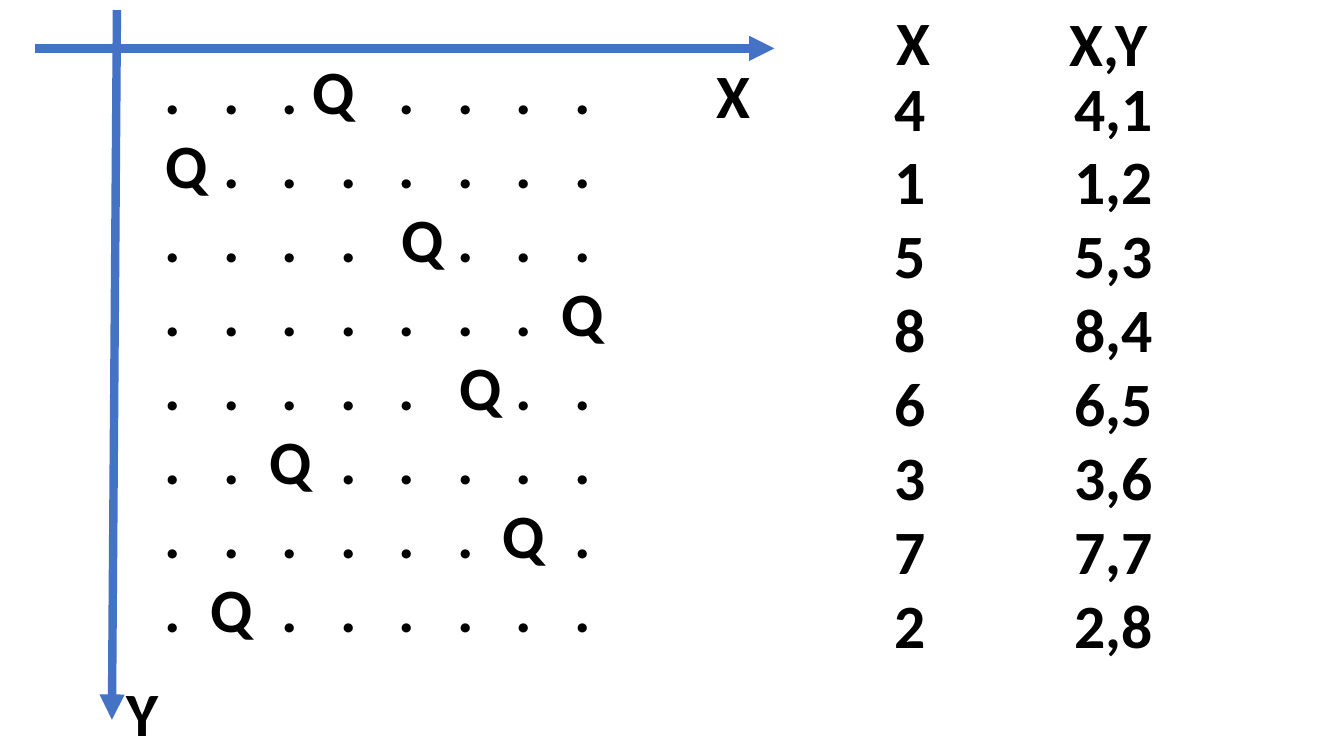
from lxml import etree
from pptx import Presentation
from pptx import util as u
from pptx.dml.color import RGBColor
from pptx.enum import shapes, text
from pptx.oxml.ns import qn

COLORS = {"text": "000000", "axis": "4472C4"}
QUEENS = [4, 1, 5, 8, 6, 3, 7, 2]
QUEEN_SHIFTS = [-0.15, 0.13, 0.15, 0, 0.15, 0, 0, 0]
FIRST_COLUMN, COLUMN_STEP = 0.21, 0.58

presentation = Presentation()
presentation.slide_width = u.Inches(13.33)
presentation.slide_height = u.Inches(7.5)
slide = presentation.slides.add_slide(presentation.slide_layouts[6])


def add_text(lines, left, top, width, height=0.84, wrap=False, size=44, bold=True):
    box = slide.shapes.add_textbox(*map(u.Inches, (left, top, width, height)))
    frame = box.text_frame
    frame.word_wrap = wrap
    frame.auto_size = text.MSO_AUTO_SIZE.SHAPE_TO_FIT_TEXT
    for index, line in enumerate(lines):
        paragraph = frame.add_paragraph() if index else frame.paragraphs[0]
        run = paragraph.add_run()
        run.text = line
        run.font.name = "Calibri"
        run.font.size = u.Pt(size)
        run.font.bold = bold
        run.font.color.rgb = RGBColor.from_string(COLORS["text"])
    return box


columns = range(1, len(QUEENS) + 1)
board_rows = ["".join("\tQ" if column == queen else "\t." for column in columns)
              for queen in QUEENS]
board = add_text(board_rows, 1.41, 0.48, 5.26, 6.02, wrap=True)
for paragraph, queen, shift in zip(board.text_frame.paragraphs, QUEENS, QUEEN_SHIFTS):
    tab_list = etree.SubElement(paragraph._p.get_or_add_pPr(), qn("a:tabLst"))
    for column in columns:
        position = FIRST_COLUMN + (column - 1) * COLUMN_STEP
        if column == queen:
            position += shift
        etree.SubElement(tab_list, qn("a:tab"), pos=str(u.Inches(position)), algn="ctr")

pairs = [f"{queen},{row}" for row, queen in enumerate(QUEENS, 1)]
add_text(pairs, 10.56, 0.64, 0.99, 6.02)
add_text([str(queen) for queen in QUEENS], 8.77, 0.64, 0.51, 6.02)

for ends in [(1.16, 0.1, 1.11, 7.14), (0.35, 0.48, 7.68, 0.48)]:
    axis = slide.shapes.add_connector(shapes.MSO_CONNECTOR.STRAIGHT, *map(u.Inches, ends))
    axis.line.color.rgb = RGBColor.from_string(COLORS["axis"])
    axis.line.width = u.Pt(6)
    etree.SubElement(axis.line._get_or_add_ln(), qn("a:tailEnd"), type="triangle")
    etree.SubElement(axis._element.spPr, qn("a:effectLst"))

for label, left, top, width in [("X", 7.01, 0.52, 0.54), ("Y", 1.16, 6.65, 0.54),
                                ("X", 8.79, -0.01, 0.54), ("X,Y", 10.51, 0, 0.99)]:
    add_text([label], left, top, width)

presentation.save("out.pptx")
